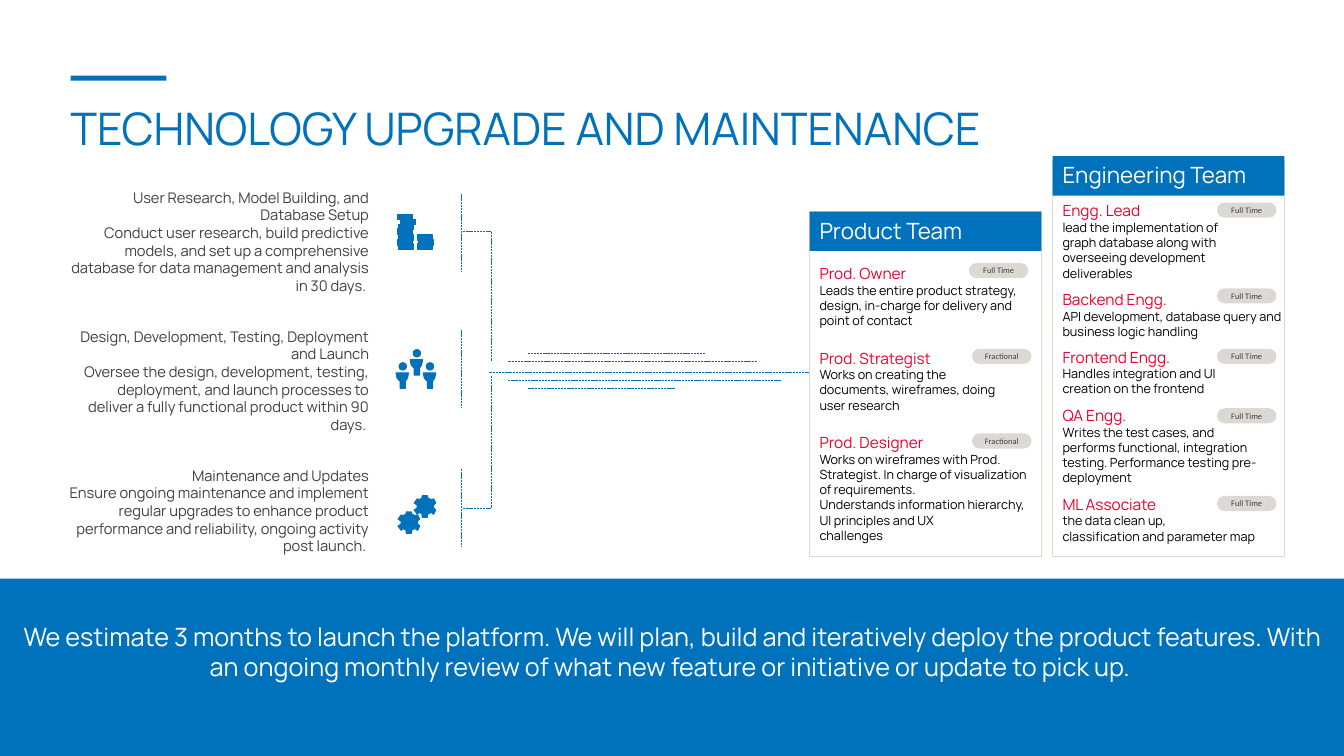
from dataclasses import dataclass

from lxml.etree import SubElement
from pptx import Presentation
from pptx.dml.color import RGBColor
from pptx.enum.dml import MSO_LINE
from pptx.enum.shapes import MSO_CONNECTOR, MSO_SHAPE
from pptx.enum.text import MSO_ANCHOR, PP_ALIGN
from pptx.oxml.ns import qn
from pptx.util import Pt

PX = 9144  # 100 px to the inch


@dataclass(frozen=True)
class Theme:
    blue = RGBColor(0x00, 0x72, 0xBB)
    red = RGBColor(0xEC, 0x00, 0x2B)
    grey = RGBColor(0xDC, 0xD8, 0xD3)
    dark = RGBColor(0x40, 0x40, 0x40)
    black = RGBColor(0, 0, 0)
    white = RGBColor(0xFF, 0xFF, 0xFF)
    font = "Manrope"
    pill_font = "Calibri"
    title = 32
    closing = 18
    header = 16
    role = 11
    phase = 10.5
    duty = 9
    pill = 6


theme = Theme()
presentation = Presentation()
presentation.slide_width = 1333 * PX
presentation.slide_height = 750 * PX
slide = presentation.slides.add_slide(presentation.slide_layouts[6])


def add_box(text, left, top, width, height, *, preset=None, fill=None, outline=None,
            size=theme.duty, color=theme.black, lead_size=None, lead_color=None,
            font=theme.font, align=PP_ALIGN.LEFT, anchor=MSO_ANCHOR.TOP, inset=True):
    """Add a text box, or a preset shape; the lead format applies to the first line."""
    frame = [length * PX for length in (left, top, width, height)]
    if preset is None:
        shape = slide.shapes.add_textbox(*frame)
    else:
        shape = slide.shapes.add_shape(preset, *frame)
        shape.shadow.inherit = False
        if fill is None:
            shape.fill.background()
        else:
            shape.fill.solid()
            shape.fill.fore_color.rgb = fill
        if outline is None:
            shape.line.fill.background()
        else:
            shape.line.color.rgb = outline
            shape.line.width = Pt(1)
    if not text:
        return shape
    text_frame = shape.text_frame
    text_frame.word_wrap = True
    text_frame.vertical_anchor = anchor
    if not inset:
        text_frame.margin_left = text_frame.margin_right = 0
        text_frame.margin_top = text_frame.margin_bottom = 0
    text_frame.text = text
    for index, paragraph in enumerate(text_frame.paragraphs):
        is_lead = index == 0
        paragraph.alignment = align
        paragraph.font.name = font
        paragraph.font.size = Pt(lead_size if is_lead and lead_size else size)
        paragraph.font.color.rgb = lead_color if is_lead and lead_color else color
    return shape


def add_line(x1, y1, x2, y2, width=0.5, dash=MSO_LINE.SQUARE_DOT):
    line = slide.shapes.add_connector(
        MSO_CONNECTOR.STRAIGHT, x1 * PX, y1 * PX, x2 * PX, y2 * PX)
    line.line.color.rgb = theme.blue
    line.line.width = Pt(width)
    line.line.dash_style = dash
    SubElement(line._element.spPr, qn("a:effectLst"))


# Title
add_box("", 70, 75, 95, 5, preset=MSO_SHAPE.RECTANGLE, fill=theme.blue)
add_box("TECHNOLOGY UPGRADE AND MAINTENANCE", 60, 95, 963, 64,
        size=theme.title, color=theme.blue)

# Project phases
phases = [
    ("User Research, Model Building, and Database Setup\n"
     "Conduct user research, build predictive models, and set up a comprehensive "
     "database for data management and analysis in 30 days. ", 70, 187, 296, 106, 192),
    ("Design, Development, Testing, Deployment and Launch\n"
     "Oversee the design, development, testing, deployment, and launch processes to "
     "deliver a fully functional product within 90 days. ", 70, 325, 296, 106, 327),
    ("Maintenance and Updates\n"
     "Ensure ongoing maintenance and implement regular upgrades to enhance product "
     "performance and reliability, ongoing activity post launch. ", 60, 463, 306, 88, 465),
]
for text, left, top, width, height, bar_top in phases:
    add_box(text, left, top, width, height, size=theme.phase, color=theme.dark,
            align=PP_ALIGN.RIGHT, inset=False)
    add_line(458, bar_top, 458, bar_top + 77)

# Bracket from the phases to the teams
for branch_y in (230, 504):
    add_line(459, branch_y, 487, branch_y)
for start_y, end_y in ((230, 358), (373, 504)):
    add_line(487, start_y, 487, end_y)
for start_x, end_x, y in ((524, 699, 351), (504, 751, 359), (485, 803, 369),
                          (504, 775, 377), (524, 669, 385)):
    add_line(end_x, y, start_x, y)

# Brick icon
bricks = [(394, 213), (397, 218), (395, 223), (394, 227), (395, 233), (394, 238),
          (395, 242), (414, 233), (415, 238), (414, 242)]
for left, top in bricks:
    add_box("", left, top, 15, 5, preset=MSO_SHAPE.RECTANGLE,
            fill=theme.blue, outline=theme.blue)
    for joint in (4, 12):
        add_line(left + joint, top, left + joint, top + 5, 1, MSO_LINE.SOLID)

# People and gear icons: outline, its places, and a circle as offset and size
person = [(0, 0), (12, 0), (11, 5), (9, 8), (9, 15), (4, 15), (4, 8), (1, 5)]
gear = [(19, 18), (21, 14), (19, 12), (19, 9), (21, 7), (19, 3), (17, 4), (13, 2),
        (13, 0), (8, 0), (8, 2), (5, 4), (3, 3), (0, 7), (3, 9), (3, 12), (0, 14),
        (3, 18), (5, 16), (8, 18), (8, 21), (13, 21), (13, 18), (17, 16)]
icons = [
    (person, [(393, 370), (420, 370), (407, 357)], (3, -10, 7, 7)),
    (gear, [(411, 492), (395, 508)], (8, 7, 6, 7)),
]
for outline, places, (circle_x, circle_y, circle_width, circle_height) in icons:
    for left, top in places:
        points = [(left + x, top + y) for x, y in outline]
        builder = slide.shapes.build_freeform(*points[0], scale=PX)
        builder.add_line_segments(points[1:], close=True)
        figure = builder.convert_to_shape()
        figure.shadow.inherit = False
        figure.fill.solid()
        figure.fill.fore_color.rgb = theme.blue
        figure.line.color.rgb = theme.blue
        figure.line.width = Pt(1)
        add_box("", left + circle_x, top + circle_y, circle_width, circle_height,
                preset=MSO_SHAPE.OVAL, fill=theme.blue, outline=theme.blue)

# Team cards: role, duties, top, width, height, then the pill's text, left and top
product_roles = [
    ("Prod. Owner", "Leads the entire product strategy, design, in-charge for delivery "
     "and point of contact", 257, 230, 74, "Full Time", 961, 261),
    ("Prod. Strategist", "Works on creating the\ndocuments, wireframes, doing\n"
     "user research", 341, 230, 74, "Fractional", 964, 346),
    ("Prod. Designer", "Works on wireframes with Prod.\nStrategist. In charge of "
     "visualization of requirements.\nUnderstands information hierarchy, UI principles "
     "and UX\nchallenges", 425, 230, 119, "Fractional", 964, 430),
]
engineering_roles = [
    ("Engg. Lead", "lead the implementation of\ngraph database along with\n"
     "overseeing development\ndeliverables", 195, 230, 89, "Full Time", 1207, 201),
    ("Backend Engg.", "API development, database query and business logic handling",
     283, 240, 59, "Full Time", 1207, 286),
    ("Frontend Engg.", "Handles integration and UI\ncreation on the frontend",
     340, 230, 59, "Full Time", 1207, 346),
    ("QA Engg.", "Writes the test cases, and\nperforms functional, integration\n"
     "testing. Performance testing pre-deployment", 398, 230, 89, "Full Time", 1207, 405),
    ("ML Associate", "the data clean up,\nclassification and parameter map",
     486, 240, 59, "Full Time", 1207, 492),
]
teams = [("Product Team", 803, 210, 210, product_roles),
         ("Engineering Team", 1044, 155, 159, engineering_roles)]
for team, left, header_top, card_top, roles in teams:
    add_box("", left, card_top, 230, 552 - card_top,
            preset=MSO_SHAPE.RECTANGLE, outline=theme.grey)
    add_box(team, left, header_top, 230, 39, preset=MSO_SHAPE.RECTANGLE,
            fill=theme.blue, size=theme.header, color=theme.white)
    for role, duties, top, width, height, hours, pill_left, pill_top in roles:
        add_box(f"{role}\n{duties}", left, top, width, height,
                lead_size=theme.role, lead_color=theme.red)
        pill = add_box(hours, pill_left, pill_top, 59, 15,
                       preset=MSO_SHAPE.ROUNDED_RECTANGLE, fill=theme.grey,
                       size=theme.pill, color=theme.dark, font=theme.pill_font,
                       align=PP_ALIGN.CENTER, anchor=MSO_ANCHOR.MIDDLE)
        pill.adjustments[0] = 0.5

# Closing band
add_box("", 0, 574, 1333, 176, preset=MSO_SHAPE.RECTANGLE, fill=theme.blue)
add_box("We estimate 3 months to launch the platform. We will plan, build and iteratively "
        "deploy the product features. With an ongoing monthly review of what new feature "
        "or initiative or update to pick up. ", 1, 611, 1332, 71,
        size=theme.closing, color=theme.white, align=PP_ALIGN.CENTER)

presentation.save("out.pptx")
